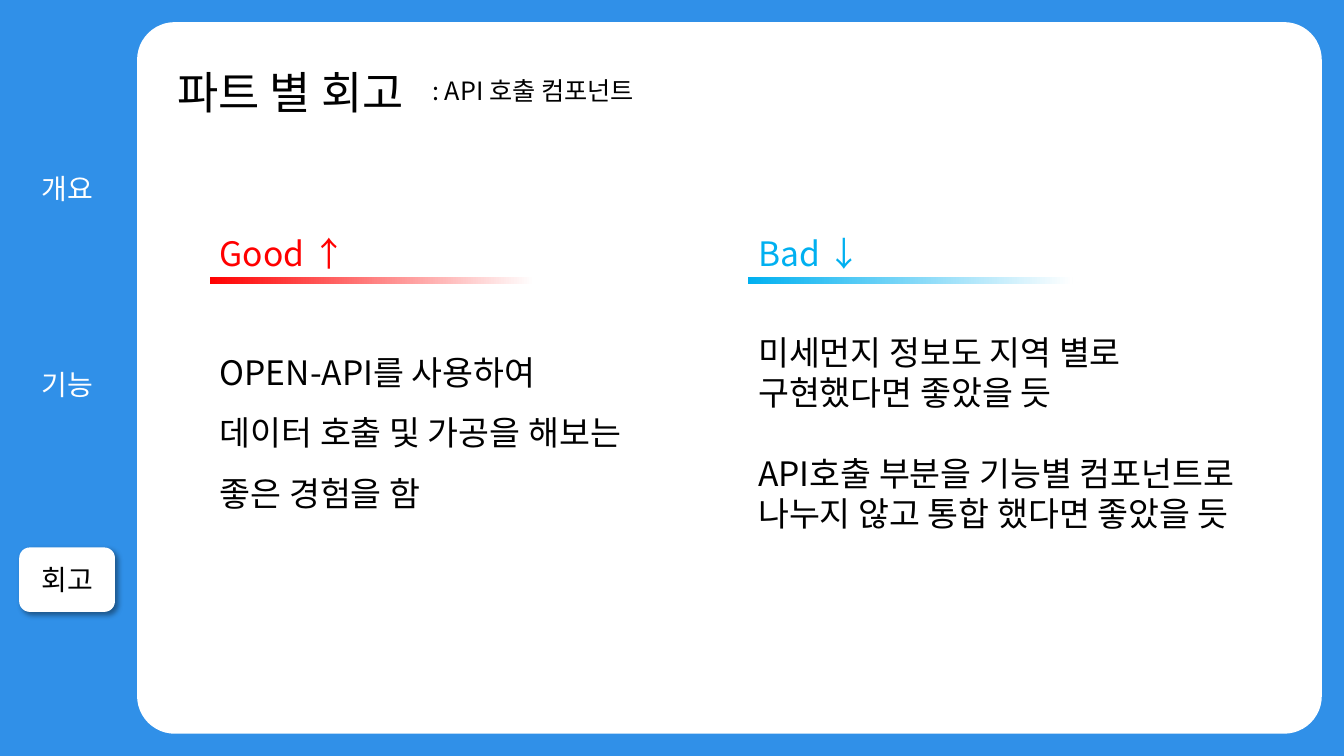
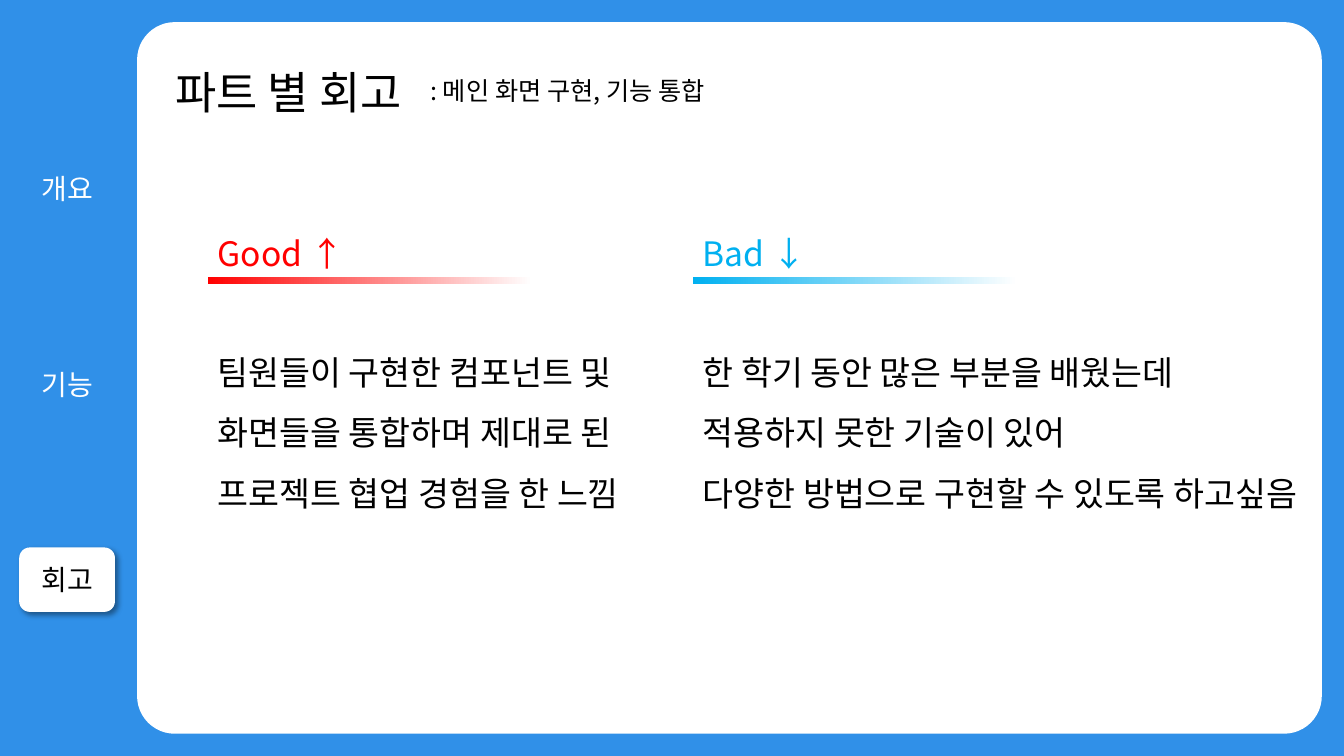
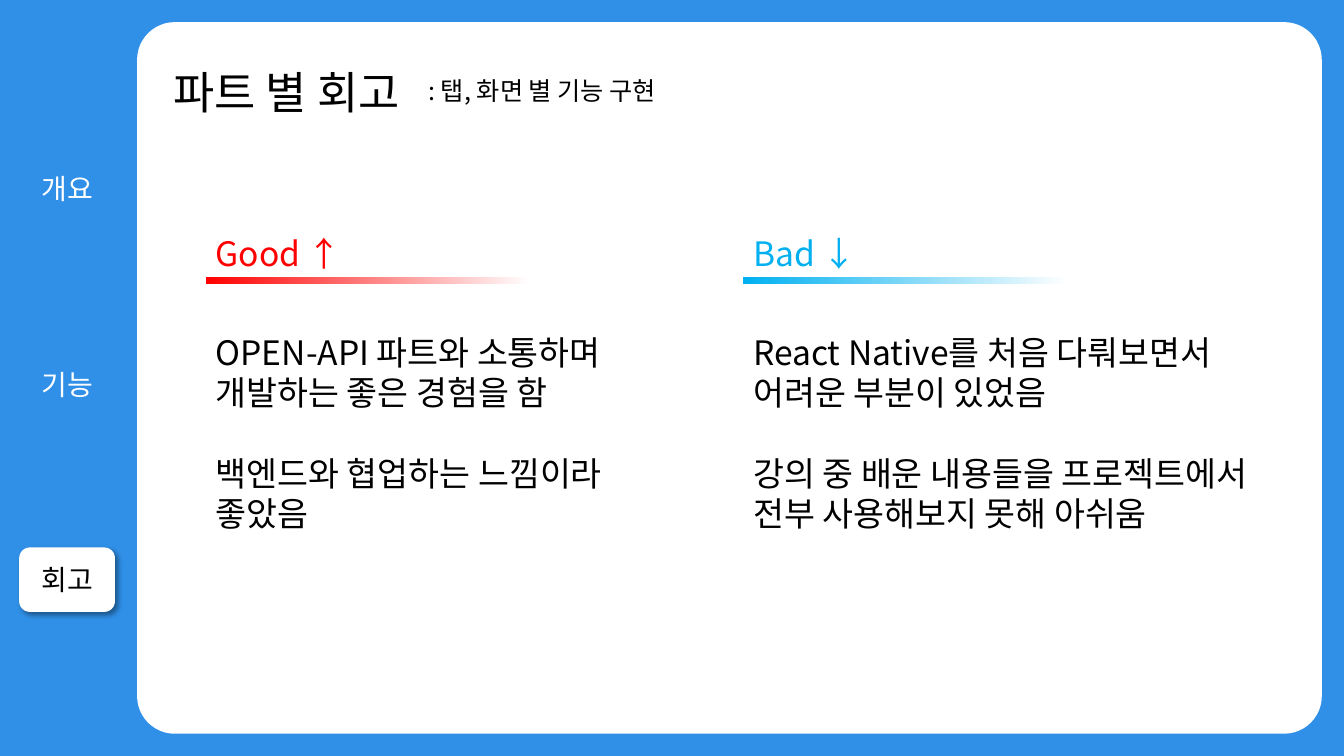
from dataclasses import dataclass
from itertools import chain

from lxml.etree import SubElement
from pptx import Presentation
from pptx.dml.color import RGBColor
from pptx.enum.shapes import MSO_SHAPE
from pptx.enum.text import MSO_ANCHOR, MSO_AUTO_SIZE, PP_ALIGN
from pptx.oxml.ns import qn
from pptx.util import Inches, Pt


@dataclass(frozen=True)
class Theme:
    font: str = "Noto Sans CJK KR"
    blue: RGBColor = RGBColor(0x30, 0x90, 0xE8)
    white: RGBColor = RGBColor(0xFF, 0xFF, 0xFF)
    ink: RGBColor = RGBColor(0x00, 0x00, 0x00)
    good: RGBColor = RGBColor(0xFF, 0x00, 0x00)
    bad: RGBColor = RGBColor(0x00, 0xB0, 0xF0)
    title: Pt = Pt(32)
    body: Pt = Pt(24)
    nav: Pt = Pt(20)
    topic: Pt = Pt(18)
    group_gap: Pt = Pt(28.8)


theme = Theme()
deck = Presentation()
deck.slide_width, deck.slide_height = Inches(13.33), Inches(7.5)
COL, ROW = deck.slide_width / 100, deck.slide_height / 100


def area(left, top, width, height):
    return round(left * COL), round(top * ROW), round(width * COL), round(height * ROW)


def write(shape, groups, size, color, spacing=1.0, align=PP_ALIGN.LEFT, anchor=MSO_ANCHOR.TOP):
    frame = shape.text_frame
    frame.text = "\n".join(chain.from_iterable(groups))
    frame.word_wrap = True
    frame.auto_size = MSO_AUTO_SIZE.NONE
    frame.vertical_anchor = anchor
    openers = [sum(map(len, groups[:n])) for n in range(1, len(groups))]
    for number, paragraph in enumerate(frame.paragraphs):
        paragraph.alignment = align
        paragraph.line_spacing = spacing
        paragraph.space_before = theme.group_gap if number in openers else Pt(0)
    for paragraph, props in zip(frame.paragraphs, shape.element.iter(qn("a:pPr"))):
        props.set("marL", "0")
        props.set("indent", "0")
        SubElement(props, qn("a:buNone"))
        font = paragraph.font
        font.name, font.size, font.bold = theme.font, size, False
        font.color.rgb = color
        SubElement(props.find(qn("a:defRPr")), qn("a:ea"), typeface=theme.font)


reflections = [
    (15.6, 55.66, 17.4, ": API 호출 컴포넌트",
     [["OPEN-API를 사용하여", "데이터 호출 및 가공을 해보는", "좋은 경험을 함"]],
     [["미세먼지 정보도 지역 별로", "구현했다면 좋았을 듯"],
      ["API호출 부분을 기능별 컴포넌트로", "나누지 않고 통합 했다면 좋았을 듯"]]),
    (15.45, 51.54, 22.36, ": 메인 화면 구현, 기능 통합",
     [["팀원들이 구현한 컴포넌트 및 화면들을 통합하며 제대로 된", "프로젝트 협업 경험을 한 느낌"]],
     [["한 학기 동안 많은 부분을 배웠는데", "적용하지 못한 기술이 있어",
       "다양한 방법으로 구현할 수 있도록 하고싶음"]]),
    (15.3, 55.29, 18.9, ": 탭, 화면 별 기능 구현",
     [["OPEN-API 파트와 소통하며", "개발하는 좋은 경험을 함"],
      ["백엔드와 협업하는 느낌이라", "좋았음"]],
     [["React Native를 처음 다뤄보면서", "어려운 부분이 있었음"],
      ["강의 중 배운 내용들을 프로젝트에서", "전부 사용해보지 못해 아쉬움"]]),
]

layout = deck.slide_layouts.get_by_name("Comparison")
slides = [deck.slides.add_slide(layout) for _ in reflections]

layout.background.fill.solid()
layout.background.fill.fore_color.rgb = theme.blue
for footer in [p for p in layout.placeholders if p.placeholder_format.idx >= 10]:
    layout.shapes.element.remove(footer.element)

stage = slides[0].shapes
panel = stage.add_shape(MSO_SHAPE.ROUNDED_RECTANGLE, *area(10.2, 2.93, 88.15, 94.13))
panel.adjustments[0] = 0.053
panel.fill.solid()
panel.fill.fore_color.rgb = theme.white
frame_parts = [panel]
for step, section in enumerate(["개요", "기능", "회고"]):
    tab = stage.add_shape(MSO_SHAPE.ROUNDED_RECTANGLE, *area(1.43, 20.67 + 25.87 * step, 7.13, 8.53))
    current = section == "회고"
    tab.fill.background()
    if current:
        tab.fill.solid()
        tab.fill.fore_color.rgb = theme.white
    write(tab, [[section]], theme.nav, theme.ink if current else theme.white,
          align=PP_ALIGN.CENTER, anchor=MSO_ANCHOR.MIDDLE)
    frame_parts.append(tab)
for part in frame_parts:
    part.line.fill.background()
    part.shadow.inherit = False
    layout.shapes.element.append(part.element)

glow = SubElement(next(tab.element.iter(qn("a:effectLst"))), qn("a:outerShdw"),
                  blurRad=str(Pt(4)), dist=str(Pt(3)), dir=str(45 * 60000), algn="tl", rotWithShape="0")
shade = SubElement(glow, qn("a:srgbClr"), val=str(theme.ink))
SubElement(shade, qn("a:alpha"), val="40000")

for slide, (good_left, bad_left, topic_width, topic, good, bad) in zip(slides, reflections):
    title = slide.shapes.title
    title.left, title.top, title.width, title.height = area(good_left - 3.15, 7.87, 19, 8.53)
    write(title, [["파트 별 회고"]], theme.title, theme.ink)
    part_topic = slide.shapes.add_textbox(*area(good_left + 15.83, 9.33, topic_width, 5.33))
    write(part_topic, [[topic]], theme.topic, theme.ink)

    columns = [
        (1, "Good ↑", theme.good, good_left, 12.3, 33, good),
        (3, "Bad ↓", theme.bad, bad_left, 10.2, 98.27 - bad_left, bad),
    ]
    for idx, verdict, color, left, verdict_width, width, groups in columns:
        heading, remarks = slide.placeholders[idx], slide.placeholders[idx + 1]
        heading.left, heading.top, heading.width, heading.height = area(left, 30.13, verdict_width, 6.67)
        write(heading, [[verdict]], theme.body, color)

        grouped = len(groups) > 1
        remarks.left, remarks.top, remarks.width, remarks.height = area(
            left, 43.2, width, 28.27 if grouped else 24.93)
        write(remarks, groups, theme.body, theme.ink, spacing=1.0 if grouped else 1.5)

        underline = slide.shapes.add_shape(MSO_SHAPE.RECTANGLE, *area(left, 36.67, 24.16, 0.93))
        underline.shadow.inherit = False
        underline.line.fill.background()
        underline.fill.gradient()
        underline.fill.gradient_angle = 0
        for stop, position, shade_color in zip(underline.fill.gradient_stops, (0, 1), (color, theme.white)):
            stop.position = position
            stop.color.rgb = shade_color

deck.save("out.pptx")
